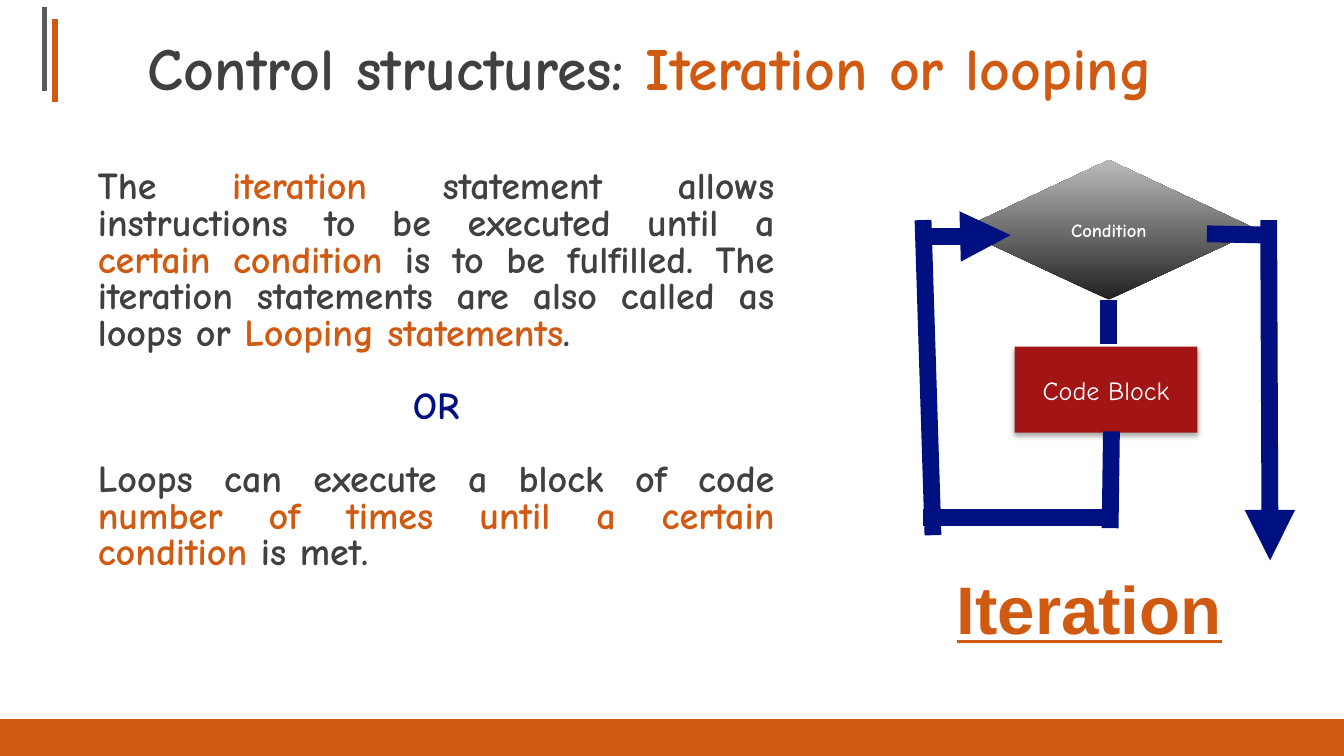
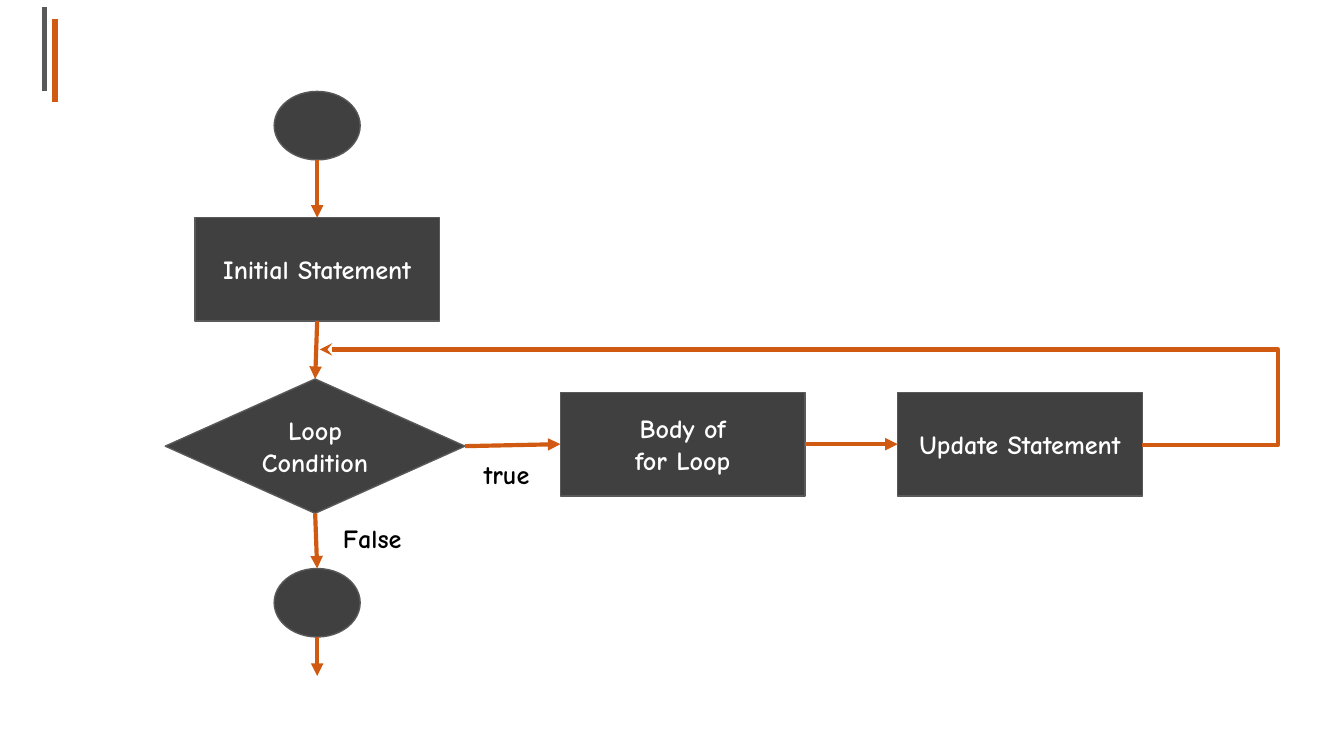
from dataclasses import dataclass

from lxml import etree
from pptx import Presentation
from pptx import util as u
from pptx.dml.color import RGBColor
from pptx.enum import shapes, text
from pptx.oxml.ns import qn

PX = 9144  # EMU: 100 px to the inch
WIDTH = 1000

ORANGE = RGBColor(0xD1, 0x5A, 0x12)
CHARCOAL = RGBColor(0x40, 0x40, 0x40)
GRAY = RGBColor(0x59, 0x59, 0x59)
NAVY = RGBColor(0x00, 0x10, 0x80)
RED = RGBColor(0xA3, 0x15, 0x15)
SILVER = RGBColor(0xBB, 0xBB, 0xBB)
SOOT = RGBColor(0x21, 0x21, 0x21)
WHITE = RGBColor(0xFF, 0xFF, 0xFF)
BLACK = RGBColor(0x00, 0x00, 0x00)

COMIC = "Comic Neue"
ALIGN = text.PP_ALIGN
ANCHOR = text.MSO_ANCHOR
KIND = shapes.MSO_SHAPE
TOP, LEFT, BOTTOM, RIGHT = range(4)

Point = tuple[int, int]
Box = tuple[int, int, int, int]
Runs = list[tuple[str, RGBColor]]


@dataclass(frozen=True)
class Node:
    kind: KIND
    box: Box
    label: str = ""


@dataclass(frozen=True)
class Link:
    """A line; start_at and end_at name a node and the side it is joined to."""
    start: Point
    end: Point
    head: str = ""
    start_at: tuple[str, int] | None = None
    end_at: tuple[str, int] | None = None
    bend: float | None = None
    cap: str = "flat"


@dataclass(frozen=True)
class Passage:
    runs: Runs
    align: ALIGN = ALIGN.JUSTIFY
    before: float = 0


def emu(lengths) -> list[int]:
    return [u.Emu(length * PX) for length in lengths]


def write(paragraph, runs: Runs, *, size: float, font: str = COMIC, bold: bool = True,
          underline: bool = False, align: ALIGN = ALIGN.CENTER) -> None:
    paragraph.alignment = align
    for words, color in runs:
        for number, line in enumerate(words.split("\n")):
            if number:
                paragraph.add_line_break()
            run = paragraph.add_run()
            run.text = line
            run.font.name = font
            run.font.size = u.Pt(size)
            run.font.bold = bold
            run.font.underline = underline
            run.font.color.rgb = color


def set_frame(frame, anchor: ANCHOR, inset: int = 10) -> None:
    frame.word_wrap = True
    frame.auto_size = text.MSO_AUTO_SIZE.NONE
    frame.vertical_anchor = anchor
    frame.margin_left = frame.margin_right = u.Emu(10 * PX)
    frame.margin_top = frame.margin_bottom = u.Emu(inset * PX)


def add_text_box(slide, box: Box, inset: int = 10):
    frame = slide.shapes.add_textbox(*emu(box)).text_frame
    set_frame(frame, ANCHOR.TOP, inset)
    return frame


def add_node(slide, node: Node, fill: RGBColor = CHARCOAL, outline: RGBColor | None = GRAY,
             size: float = 14, bold: bool = True):
    shape = slide.shapes.add_shape(node.kind, *emu(node.box))
    shape.shadow.inherit = False
    shape.fill.solid()
    shape.fill.fore_color.rgb = fill
    if outline is None:
        shape.line.fill.background()
    else:
        shape.line.color.rgb = outline
        shape.line.width = u.Pt(0.75)
    if node.label:
        set_frame(shape.text_frame, ANCHOR.MIDDLE, 5)
        write(shape.text_frame.paragraphs[0], [(node.label, WHITE)], size=size, bold=bold)
    return shape


def add_link(slide, link: Link, color: RGBColor, width: float, nodes: dict | None = None) -> None:
    kind = shapes.MSO_CONNECTOR.STRAIGHT if link.bend is None else shapes.MSO_CONNECTOR.ELBOW
    line = slide.shapes.add_connector(kind, *emu(link.start + link.end))
    line.line.color.rgb = color
    line.line.width = u.Pt(width)
    if link.start_at:
        name, side = link.start_at
        line.begin_connect(nodes[name], side)
    if link.end_at:
        name, side = link.end_at
        line.end_connect(nodes[name], side)
    properties = line._element.spPr
    stroke = properties.find(qn("a:ln"))
    stroke.set("cap", link.cap)
    if link.head:
        etree.SubElement(stroke, qn("a:tailEnd"), type=link.head)
    if link.bend is not None:
        guides = properties.find(qn("a:prstGeom")).get_or_add_avLst()
        etree.SubElement(guides, qn("a:gd"), name="adj1",
                         fmla=f"val {round(link.bend * 100000)}")
    etree.SubElement(properties, qn("a:effectLst"))


def add_drop_shadow(shape) -> None:
    effects = shape._element.spPr.find(qn("a:effectLst"))
    shadow = etree.SubElement(effects, qn("a:outerShdw"), blurRad=str(u.Pt(3.1)),
                              dist=str(u.Pt(1.8)), dir="5400000", rotWithShape="0")
    black = etree.SubElement(shadow, qn("a:srgbClr"), val="000000")
    etree.SubElement(black, qn("a:alpha"), val="35000")


def add_corner_bars(slide) -> None:
    for x, top, bottom, color in ((41, 14, 76, ORANGE), (33, 5, 68, GRAY)):
        add_link(slide, Link((x, top), (x, bottom)), color, 3)


def add_heading(slide, runs: Runs) -> None:
    title = slide.shapes.title
    title.left, title.top, title.width, title.height = emu((0, 0, WIDTH, 86))
    set_frame(title.text_frame, ANCHOR.BOTTOM)
    paragraph = title.text_frame.paragraphs[0]
    write(paragraph, runs, size=32, align=ALIGN.LEFT)
    properties = paragraph._p.get_or_add_pPr()
    properties.set("marL", str(100 * PX))
    properties.set("indent", "0")


PASSAGES = [
    Passage([("The ", CHARCOAL), ("iteration", ORANGE),
             (" statement allows instructions to be executed until a ", CHARCOAL),
             ("certain condition ", ORANGE),
             ("is to be fulfilled. The iteration statements are also called as loops or ",
              CHARCOAL),
             ("Looping statements", ORANGE), (".", CHARCOAL)]),
    Passage([("OR", NAVY)], ALIGN.CENTER, 19.6),
    Passage([("Loops can execute a block of code ", CHARCOAL),
             ("number of times until a certain condition ", ORANGE),
             ("is met.", CHARCOAL)], before=19.6),
]

LOOP_LINKS = [
    Link((898, 174), (949, 175)),
    Link((944, 170), (945, 417), "triangle", cap="sq"),
    Link((825, 224), (825, 256), start_at=("condition", BOTTOM)),
    Link((832, 385), (687, 385)),
    Link((687, 170), (694, 392), cap="sq"),
    Link((827, 321), (826, 393)),
    Link((686, 176), (752, 175), "triangle", bend=0.5),
]

STEP_WIDTH, STEP_HEIGHT = 182, 77
FLOW_NODES = {
    "initial": Node(KIND.RECTANGLE, (145, 162, STEP_WIDTH, STEP_HEIGHT), "Initial Statement"),
    "condition": Node(KIND.FLOWCHART_DECISION, (123, 282, 223, 100), "Loop\nCondition"),
    "stop": Node(KIND.OVAL, (204, 423, 64, 51)),
    "start": Node(KIND.OVAL, (204, 68, 64, 51)),
    "body": Node(KIND.RECTANGLE, (417, 292, STEP_WIDTH, STEP_HEIGHT), "Body of\nfor Loop"),
    "update": Node(KIND.RECTANGLE, (668, 292, STEP_WIDTH, STEP_HEIGHT), "Update Statement"),
}
FLOW_LINKS = [
    Link((236, 119), (236, 162), "triangle", end_at=("initial", TOP)),
    Link((236, 239), (235, 282), "triangle", ("initial", BOTTOM), ("condition", TOP)),
    Link((347, 332), (417, 331), "triangle", ("condition", RIGHT), ("body", LEFT)),
    Link((598, 331), (668, 331), "triangle", ("body", RIGHT), ("update", LEFT)),
    Link((235, 382), (236, 423), "triangle", ("condition", BOTTOM), ("stop", TOP)),
    Link((236, 474), (236, 503), "triangle"),
    Link((850, 331), (238, 260), "stealth", bend=-0.165),
]
BRANCHES = {"true": (342, 331, 70, 36), "False": (242, 379, 70, 36)}


def build_iteration(slide) -> None:
    add_heading(slide, [("Control structures: ", CHARCOAL), ("Iteration or looping", ORANGE)])
    add_corner_bars(slide)
    add_node(slide, Node(KIND.RECTANGLE, (0, 535, WIDTH, 31)), ORANGE, None)

    body = add_text_box(slide, (63, 117, 523, 372))
    for number, passage in enumerate(PASSAGES):
        paragraph = body.add_paragraph() if number else body.paragraphs[0]
        paragraph.line_spacing = 0.8
        paragraph.space_before = u.Pt(passage.before)
        write(paragraph, passage.runs, size=20.4, align=passage.align)

    caption = add_text_box(slide, (662, 417, 297, 71), 5)
    write(caption.paragraphs[0], [("Iteration", ORANGE)], size=36, font="Arial", underline=True)

    condition = add_node(slide, Node(KIND.FLOWCHART_DECISION, (714, 119, 222, 104), "Condition"),
                         outline=None, size=10)
    condition.fill.gradient()
    condition.fill.gradient_angle = 90
    for position, (stop, color) in enumerate(zip(condition.fill.gradient_stops, (SOOT, SILVER))):
        stop.color.rgb = color
        stop.position = position
    code_block = add_node(slide, Node(KIND.RECTANGLE, (755, 258, 136, 64), "Code Block"),
                          RED, None, bold=False)
    add_drop_shadow(code_block)
    for link in LOOP_LINKS:
        add_link(slide, link, NAVY, 9, {"condition": condition})


def build_flowchart(slide) -> None:
    add_corner_bars(slide)
    nodes = {name: add_node(slide, node) for name, node in FLOW_NODES.items()}
    for link in FLOW_LINKS:
        add_link(slide, link, ORANGE, 2.25, nodes)
    for answer, box in BRANCHES.items():
        write(add_text_box(slide, box).paragraphs[0], [(answer, BLACK)], size=14)


def main() -> None:
    deck = Presentation()
    deck.slide_width = u.Emu(WIDTH * PX)
    deck.slide_height = u.Emu(WIDTH * PX * 9 // 16)
    title_only, blank = deck.slide_layouts[5], deck.slide_layouts[6]
    build_iteration(deck.slides.add_slide(title_only))
    build_flowchart(deck.slides.add_slide(blank))
    deck.save("out.pptx")


if __name__ == "__main__":
    main()
